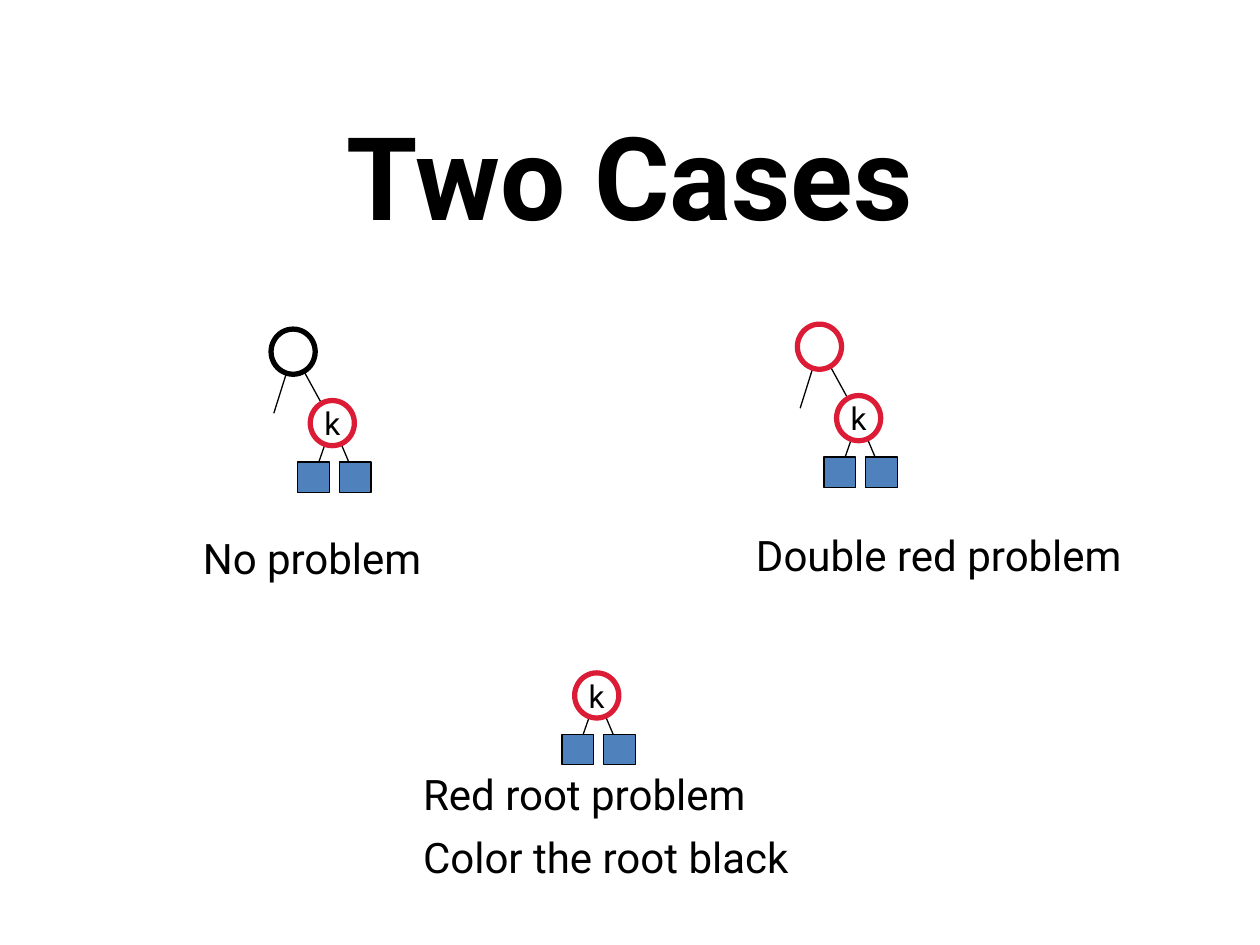
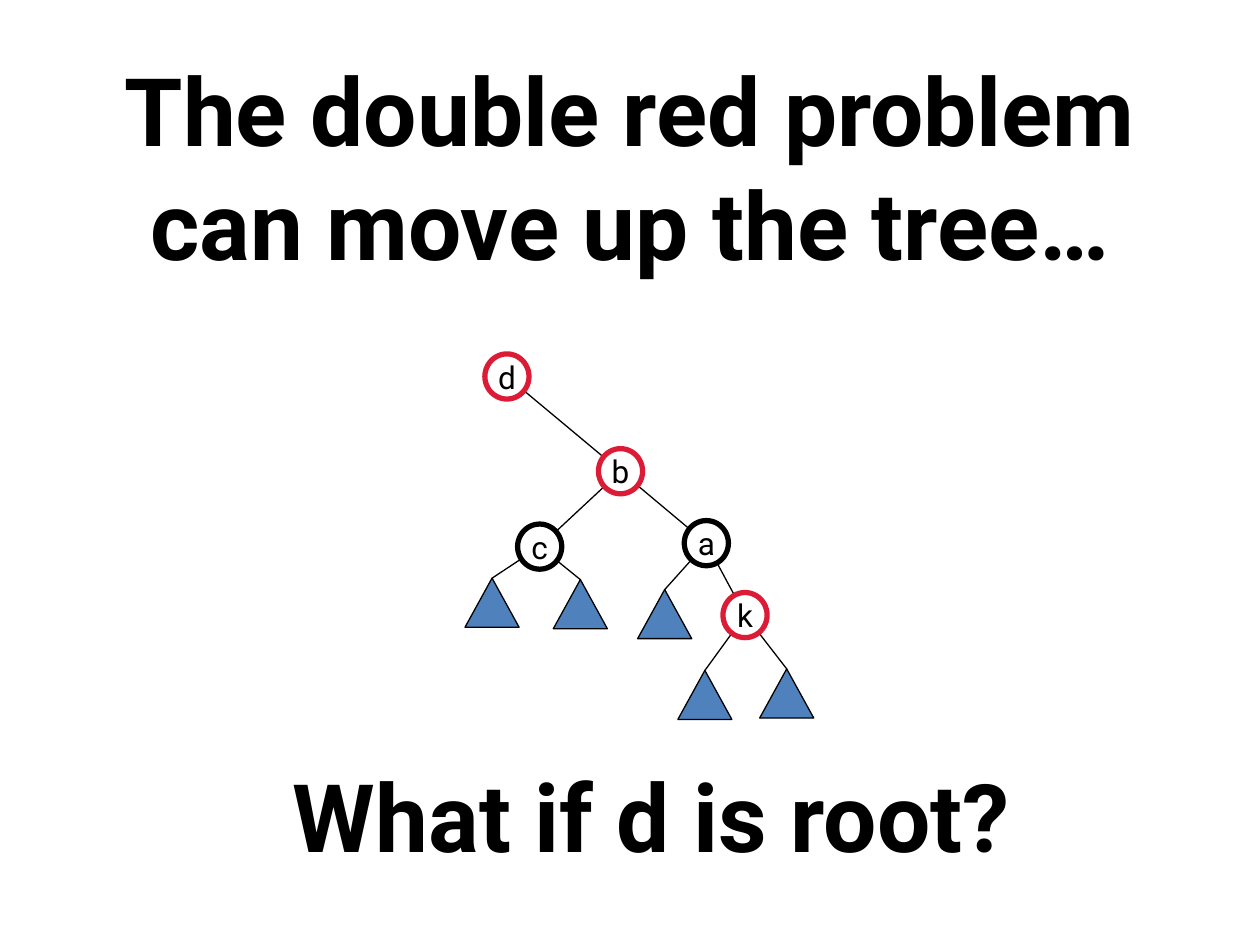
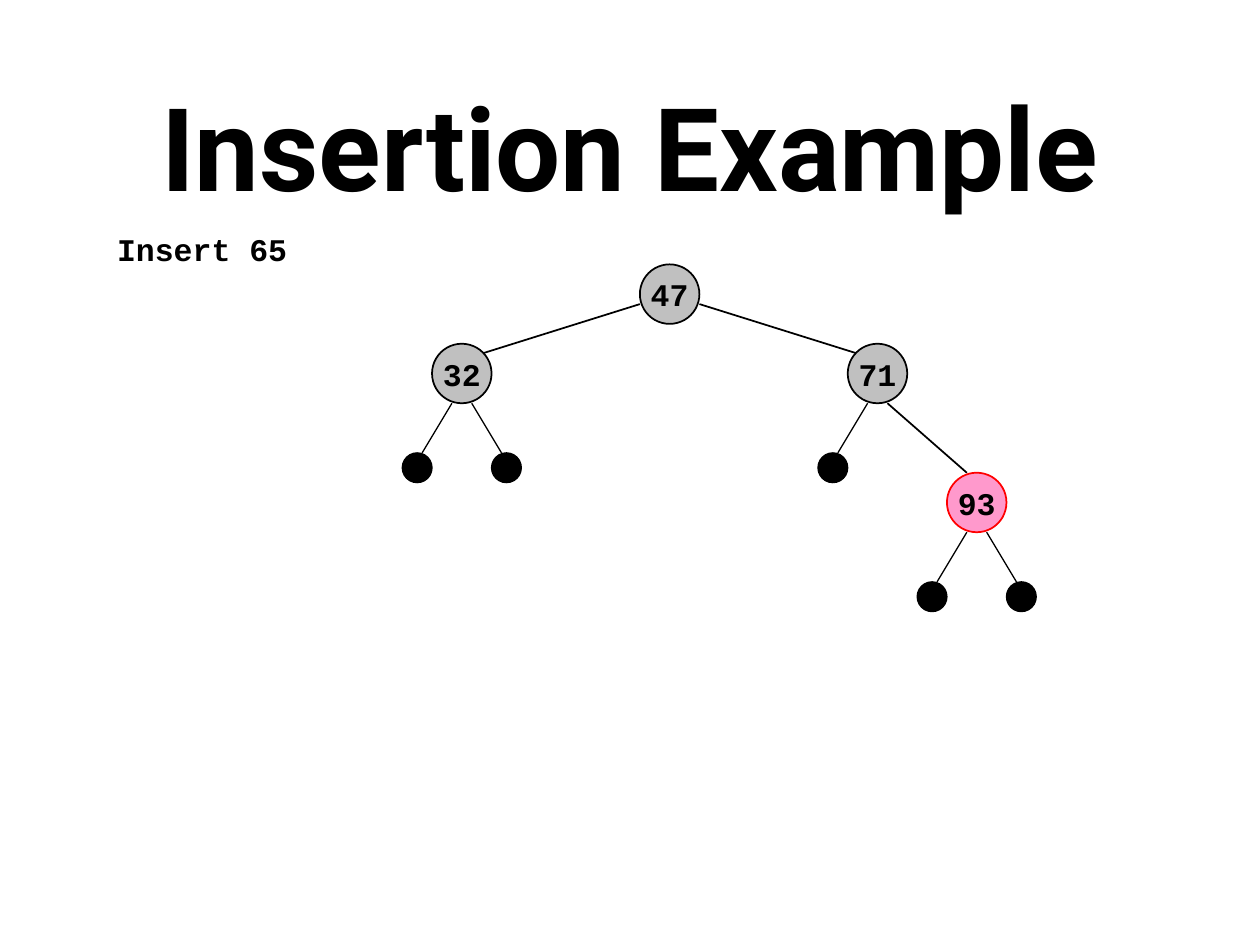
from lxml import etree
from pptx import Presentation
from pptx.dml.color import RGBColor
from pptx.enum.shapes import MSO_CONNECTOR, MSO_SHAPE
from pptx.enum.text import MSO_ANCHOR, PP_ALIGN
from pptx.oxml.ns import qn
from pptx.util import Cm, Pt

STRAIGHT = MSO_CONNECTOR.STRAIGHT
CIRCLE = MSO_SHAPE.OVAL
SQUARE = MSO_SHAPE.RECTANGLE
TRIANGLE = MSO_SHAPE.FLOWCHART_EXTRACT
MIDDLE, TOP = MSO_ANCHOR.MIDDLE, MSO_ANCHOR.TOP
CENTER, LEFT = PP_ALIGN.CENTER, PP_ALIGN.LEFT

# Shared colours and text formats
BLACK, WHITE, RED, BLUE = "000000", "FFFFFF", "DC1C36", "4F81BD"
GRAY, PINK, BRIGHT_RED = "C0C0C0", "FF99CC", "FF0000"
TITLE = {"name": "Roboto", "size": Pt(66), "bold": True}
LONG_TITLE = {**TITLE, "size": Pt(54)}
CAPTION = {"name": "Roboto", "size": Pt(24), "bold": False}
KEY = {**CAPTION, "size": Pt(18)}
CODE = {"name": "Courier New", "size": Pt(18), "bold": True}

# Sizes in centimetres
NODE_SIZE = (0.89, 0.91)
SQUARE_SIZE = (0.64, 0.61)
TRIANGLE_SIZE = (1.09, 0.99)
RADIUS, NIL_RADIUS = 0.6, 0.3


def color(hex_code):
    return RGBColor.from_string(hex_code)


def write(frame, text, style, align, anchor, wrap):
    frame.word_wrap = wrap
    frame.vertical_anchor = anchor
    paragraph = frame.paragraphs[0]
    paragraph.alignment = align
    run = paragraph.add_run()
    run.text = text
    for attribute, value in style.items():
        setattr(run.font, attribute, value)
    run.font.color.rgb = color(BLACK)


def add_text(slide, text, left, top, width, height, style,
             align=LEFT, anchor=TOP, wrap=False):
    box = slide.shapes.add_textbox(Cm(left), Cm(top), Cm(width), Cm(height))
    write(box.text_frame, text, style, align, anchor, wrap)


def add_title(slide, text, top, style=TITLE, left=1.27):
    add_text(slide, text, left, top, 22.86, 3.18, style, CENTER, MIDDLE, True)


def add_figure(slide, kind, center, size, fill, line, weight, text="", style=KEY):
    """Place a preset shape around its centre."""
    (x, y), (width, height) = center, size
    figure = slide.shapes.add_shape(
        kind, Cm(x - width / 2), Cm(y - height / 2), Cm(width), Cm(height))
    figure.shadow.inherit = False
    figure.fill.solid()
    figure.fill.fore_color.rgb = color(fill)
    figure.line.color.rgb = color(line)
    figure.line.width = Pt(weight)
    if text:
        frame = figure.text_frame
        for side in ("left", "top", "right", "bottom"):
            setattr(frame, f"margin_{side}", 0)
        write(frame, text, style, CENTER, MIDDLE, False)
    return figure


def add_node(slide, center, ring, text=""):
    return add_figure(slide, CIRCLE, center, NODE_SIZE, WHITE, ring, 3, text)


def add_triangle(slide, center):
    return add_figure(slide, TRIANGLE, center, TRIANGLE_SIZE, BLUE, BLACK, 0.75)


def add_line(slide, start, end, weight=0.75):
    """Draw a black line behind the shapes of the slide."""
    line = slide.shapes.add_connector(
        STRAIGHT, *(Cm(value) for value in (*start, *end)))
    line.line.color.rgb = color(BLACK)
    line.line.width = Pt(weight)
    etree.SubElement(line._element.spPr, qn("a:effectLst"))
    slide.shapes._spTree.insert(2, line._element)
    return line


def shift(point, dx, dy):
    return point[0] + dx, point[1] + dy


# Slide 1: a new key k with its two square leaves
def add_key_with_leaves(slide, center):
    add_node(slide, center, RED, "k")
    for dx in (-0.38, 0.46):
        leaf = shift(center, dx, 1.09)
        add_line(slide, center, leaf)
        add_figure(slide, SQUARE, leaf, SQUARE_SIZE, BLUE, BLACK, 0.75)


def add_parent_case(slide, parent, ring):
    key = shift(parent, 0.79, 1.44)
    add_line(slide, parent, key)
    add_line(slide, parent, shift(parent, -0.39, 1.24))
    add_node(slide, parent, ring)
    add_key_with_leaves(slide, key)


def build_two_cases(slide):
    add_title(slide, "Two Cases", 1.93)
    add_parent_case(slide, (5.91, 7.09), BLACK)
    add_parent_case(slide, (16.52, 6.99), RED)
    add_key_with_leaves(slide, (12.03, 14.02))
    for text, left, top, width in (
            ("No problem", 3.84, 10.62, 5.16),
            ("Double red problem", 14.99, 10.54, 8.31),
            ("Red root problem", 8.28, 15.37, 7.29),
            ("Color the root black", 8.28, 16.64, 8.18)):
        add_text(slide, text, left, top, width, 1.27, CAPTION)


# Slide 2: tree with two red nodes in a row
def build_moving_up(slide):
    add_title(slide, "The double red problem can move up the tree…", 1.75, LONG_TITLE)
    nodes = {
        "d": ((10.22, 7.59), RED), "b": ((12.51, 9.5), RED),
        "c": ((10.88, 11.02), BLACK), "a": ((14.24, 10.95), BLACK),
        "k": ((15.02, 12.4), RED),
    }
    subtrees = (("c", (9.92, 12.15)), ("c", (11.7, 12.18)), ("a", (13.4, 12.38)),
                ("k", (14.21, 14.01)), ("k", (15.86, 13.98)))
    for parent, child in ("db", "bc", "ba", "ak"):
        add_line(slide, nodes[parent][0], nodes[child][0])
    for key, (center, ring) in nodes.items():
        add_node(slide, center, ring, key)
    for parent, center in subtrees:
        subtree = add_triangle(slide, center)
        link = add_line(slide, nodes[parent][0], center)
        link.end_connect(subtree, 0)
    add_title(slide, "What if d is root?", 14.83, LONG_TITLE, left=1.7)


# Slide 3: numbered nodes with black nil leaves
def add_nil_leaf(slide, parent, side):
    start = shift(parent, side * 0.2, RADIUS)
    add_line(slide, start, shift(start, side * 0.6, 1))
    add_figure(slide, CIRCLE, shift(parent, side * 0.9, 1.9),
               (2 * NIL_RADIUS, 2 * NIL_RADIUS), BLACK, BLACK, 0.75)


def build_insertion(slide):
    add_title(slide, "Insertion Example", 1.35)
    add_text(slide, "Insert 65", 2.11, 4.52, 6.6, 1.02, CODE, wrap=True)
    root = (13.5, 5.93)
    left, right = (shift(root, side * 4.19, 1.6) for side in (-1, 1))
    red = shift(right, 2, 2.6)
    for side, child in ((-1, left), (1, right)):
        add_line(slide, shift(root, side * RADIUS, 0.2),
                 shift(child, -side * 0.4, -0.4), 1)
    add_line(slide, shift(right, 0.2, RADIUS), shift(red, -0.2, -RADIUS), 1)
    for number, center, fill, line in (
            ("47", root, GRAY, BLACK), ("71", right, GRAY, BLACK),
            ("32", left, GRAY, BLACK), ("93", red, PINK, BRIGHT_RED)):
        add_figure(slide, CIRCLE, center, (2 * RADIUS, 2 * RADIUS),
                   fill, line, 1, number, CODE)
    for parent, sides in ((left, (-1, 1)), (right, (-1,)), (red, (-1, 1))):
        for side in sides:
            add_nil_leaf(slide, parent, side)


def main():
    deck = Presentation()
    deck.slide_width, deck.slide_height = Cm(25.4), Cm(19.05)
    blank = deck.slide_layouts[6]
    for build in (build_two_cases, build_moving_up, build_insertion):
        build(deck.slides.add_slide(blank))
    deck.save("out.pptx")


if __name__ == "__main__":
    main()
